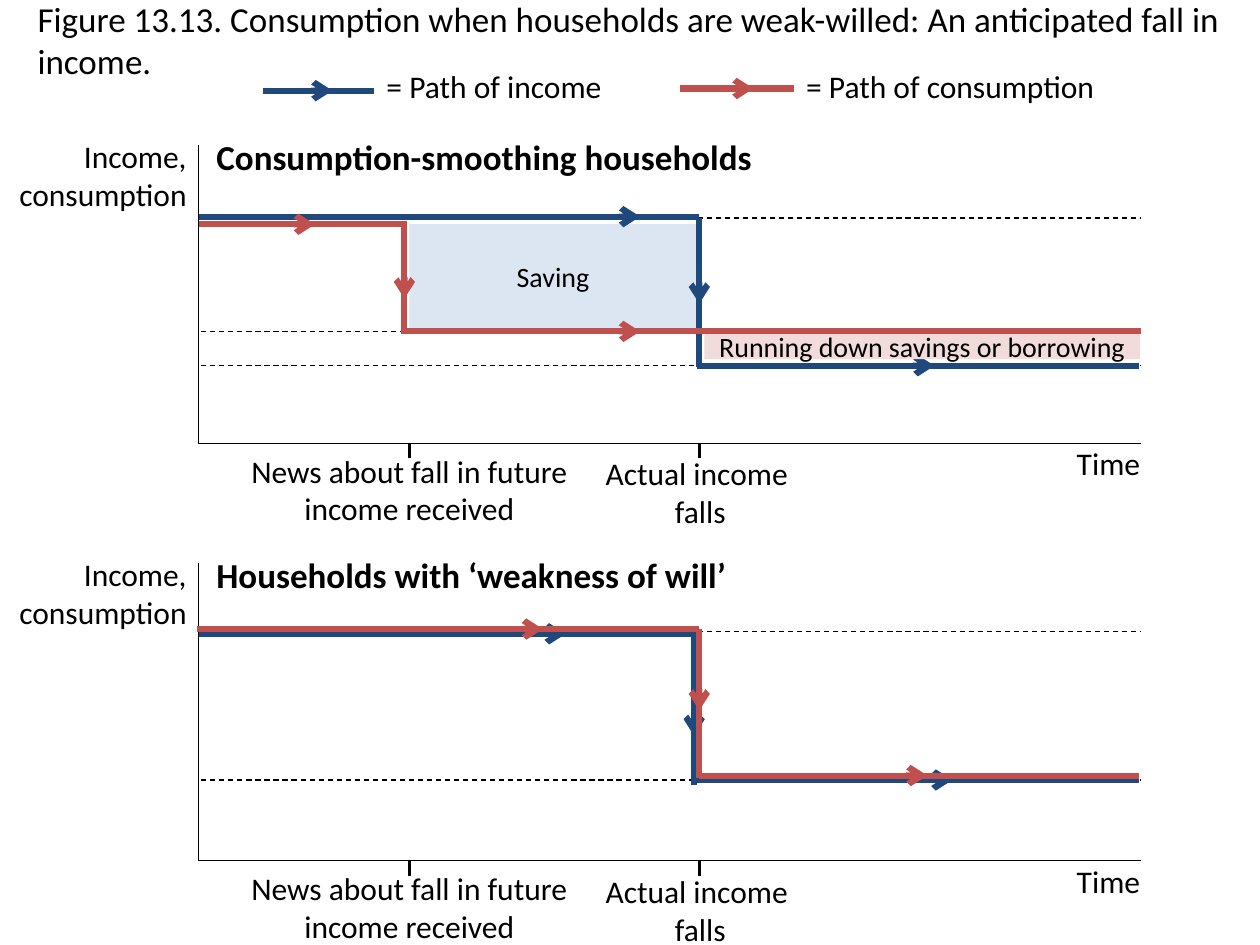
from lxml import etree
from pptx import Presentation
from pptx.dml.color import RGBColor
from pptx.enum.dml import MSO_LINE
from pptx.enum.shapes import MSO_CONNECTOR, MSO_SHAPE
from pptx.enum.text import MSO_ANCHOR, MSO_AUTO_SIZE, PP_ALIGN
from pptx.oxml.ns import qn
from pptx.util import Pt

LEFT, MID, RIGHT = PP_ALIGN.LEFT, PP_ALIGN.CENTER, PP_ALIGN.RIGHT
DASH = MSO_LINE.DASH
BLACK, WHITE, BLUE, RED = "000000", "FFFFFF", "1F497D", "C0504D"

deck = Presentation()
deck.slide_width, deck.slide_height = Pt(720), Pt(540)
shapes = deck.slides.add_slide(deck.slide_layouts[6]).shapes


def text(words, x, y, w, h, size=18, bold=False, align=LEFT, fill=None, tight=False):
    box = (Pt(x), Pt(y), Pt(w), Pt(h))
    if fill:
        shape = shapes.add_shape(MSO_SHAPE.RECTANGLE, *box)
        shape.shadow.inherit = False
        shape.fill.solid()
        shape.fill.fore_color.rgb = RGBColor.from_string(fill)
        shape.line.fill.background()
    else:
        shape = shapes.add_textbox(*box)
    frame = shape.text_frame
    frame.word_wrap = True
    frame.vertical_anchor = MSO_ANCHOR.MIDDLE if tight else MSO_ANCHOR.TOP
    if tight:
        frame.margin_left = frame.margin_right = 0
        frame.margin_top = frame.margin_bottom = 0
    else:
        frame.auto_size = MSO_AUTO_SIZE.SHAPE_TO_FIT_TEXT
    frame.text = words
    for para in frame.paragraphs:
        para.alignment = align
        for run in para.runs:
            run.font.name, run.font.size, run.font.bold = "Calibri", Pt(size), bold
            run.font.color.rgb = RGBColor.from_string(BLACK)


def line(x1, y1, x2, y2, color=BLACK, width=0.25, dash=None, arrow=False):
    link = shapes.add_connector(MSO_CONNECTOR.STRAIGHT, Pt(x1), Pt(y1), Pt(x2), Pt(y2))
    link.line.color.rgb = RGBColor.from_string(color)
    link.line.width = Pt(width)
    if dash:
        link.line.dash_style = dash
    if arrow:
        etree.SubElement(link.line._get_or_add_ln(), qn("a:tailEnd"), type="arrow")
    etree.SubElement(link._element.spPr, qn("a:effectLst"))


# Heading
text("Figure 13.13. Consumption when households are weak-willed: "
     "An anticipated fall in income.", 14.4, -5, 705.6, 55.4, size=20)

# Shaded area for saving
text("Saving", 234, 128, 164, 60, size=16, align=MID, fill="DCE6F2", tight=True)

# Two panels: title, axes, ticks, labels and dashed levels
panels = [
    (0, "Consumption-smoothing households", 520, (124.5, 189.5, 209)),
    (238.8, "Households with ‘weakness of will’", 343, (361, 445.7)),
]
for top, title, wide, levels in panels:
    for y in levels:
        line(115, y, 652, y, width=0.75, dash=DASH)
    text(title, 116.6, top + 74, wide, 31.5, size=20, bold=True, fill=WHITE)
    line(113.3, top + 83, 113.3, top + 253)
    line(113.3, top + 253, 652, top + 253)
    for x in (234, 399.6):
        line(x, top + 253, x, top + 261.5, width=1.5)
    text("Income, consumption", -28, top + 74.7, 141.8, 51, align=RIGHT)
    text("News about fall in future income received", 134.6, top + 254.5, 198.7, 51,
         align=MID)
    text("Actual income\n falls", 298.8, top + 256, 198.7, 51, align=MID)
    text("Time", 597, top + 250, 72.7, 29, align=MID)

# Paths: colour, then legs as start, end and arrow tip
paths = [
    (BLUE, [(113.8, 123.8, 399.6, 123.8, 365.8, 123.8),
            (399.6, 124.5, 399.6, 210, 399.6, 173.5),
            (398.2, 209, 651, 209, 534, 209)]),
    (BLUE, [(113.8, 362.2, 399.6, 362.2, 323.3, 362.2),
            (396.7, 363, 396.7, 448.5, 396.7, 420.5),
            (396.7, 445.7, 651, 445.7, 544.3, 445.7)]),
    (BLUE, [(150.5, 51.8, 213.8, 51.8, 190, 51.8)]),
    (RED, [(113.8, 128.2, 232.6, 128.2, 180, 128.2),
           (231.1, 128.2, 231.1, 190.8, 231.1, 170.6),
           (229.7, 189.4, 652, 189.4, 365.8, 189.4)]),
    (RED, [(388.5, 50.6, 453.6, 50.6, 430.6, 50.6)]),
    (RED, [(112.5, 359.5, 399.6, 359.5, 310.3, 359.5),
           (399.6, 359.5, 399.6, 444.5, 399.6, 406),
           (399.6, 443.2, 651, 443.2, 530, 443.2)]),
]
for color, legs in paths:
    for x1, y1, x2, y2, tipx, tipy in legs:
        line(x1, y1, x2, y2, color, 3.5)
        line(x1, y1, tipx, tipy, color, 3.5, arrow=True)

# Legend labels
text("= Path of income", 213.8, 34.7, 149, 29)
text("= Path of consumption", 453.6, 34.7, 196, 29)

# Shaded area for spending above income
text("Running down savings or borrowing", 402.5, 191, 249, 14.2, size=16,
     align=MID, fill="F2DCDB", tight=True)

deck.save("out.pptx")
